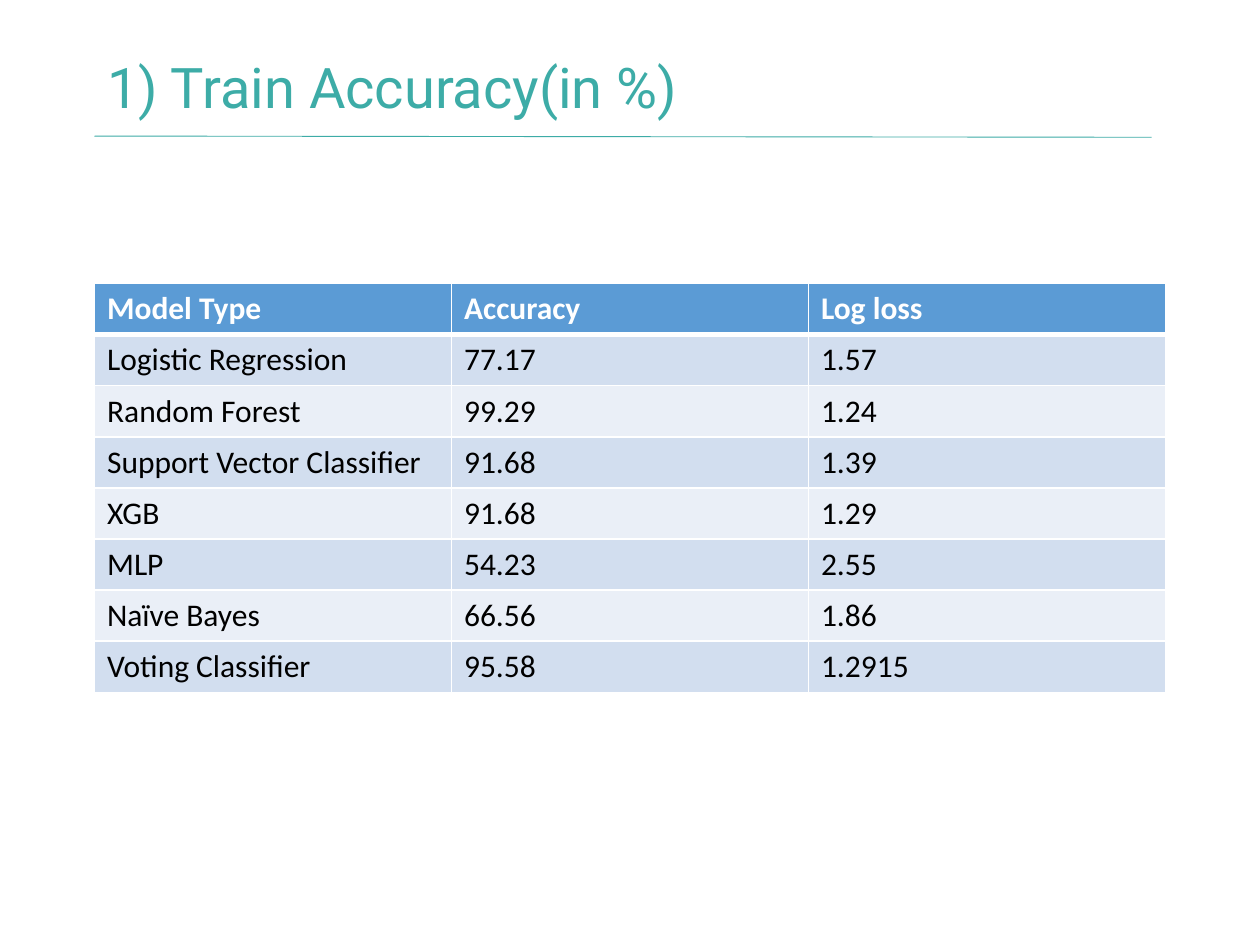
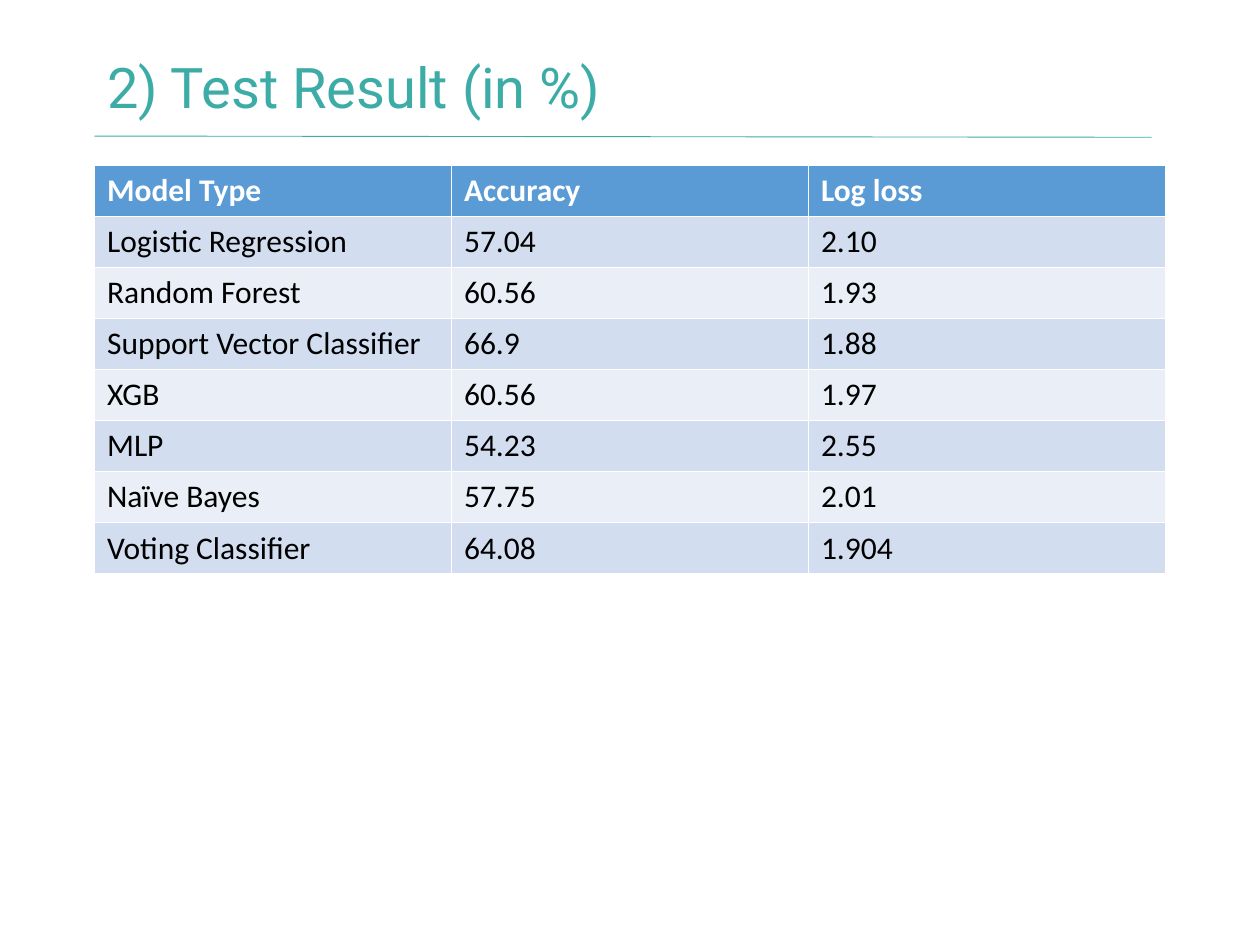
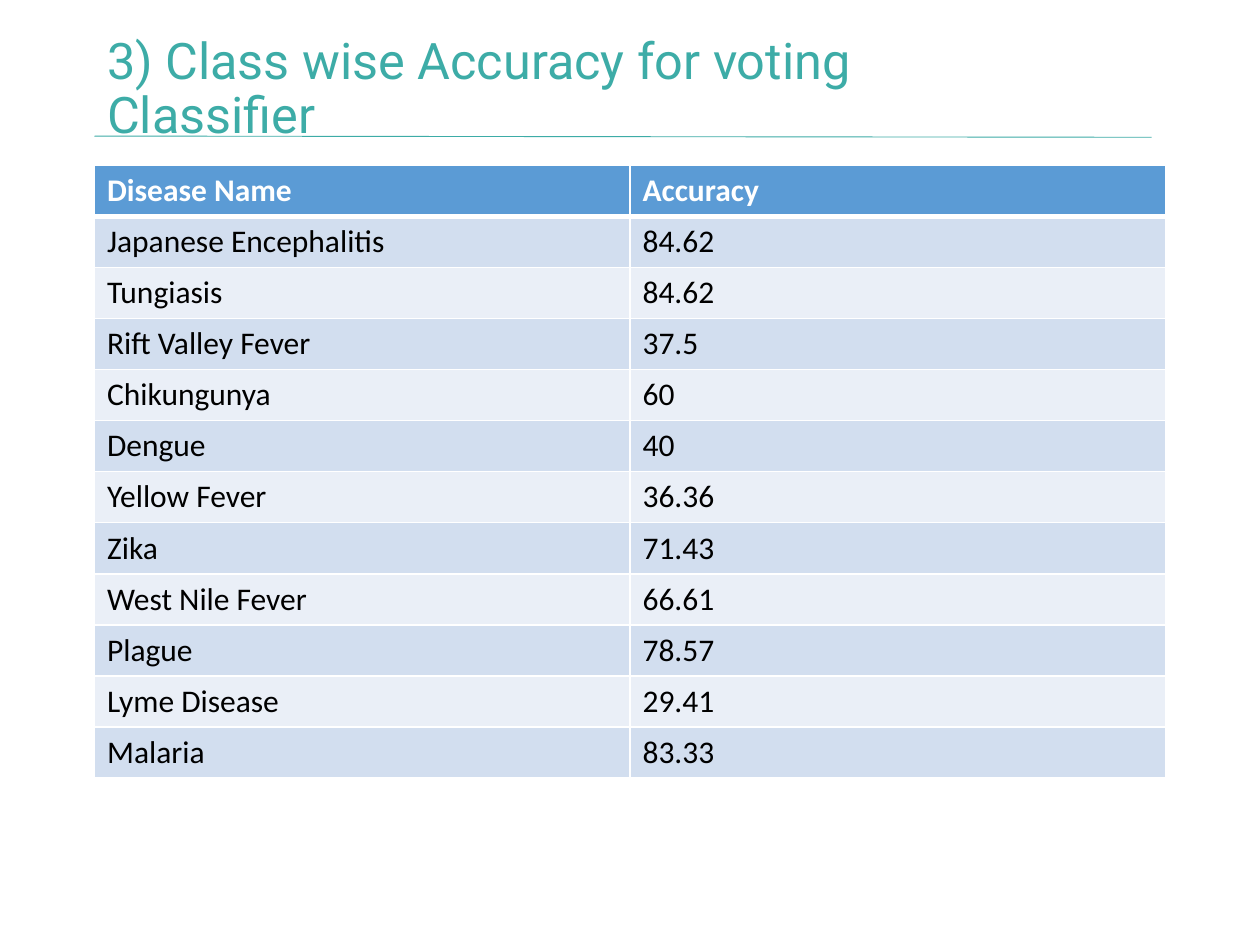
from lxml.etree import SubElement
from pptx import Presentation
from pptx.dml.color import RGBColor
from pptx.enum.shapes import MSO_CONNECTOR
from pptx.enum.text import MSO_ANCHOR, MSO_AUTO_SIZE, PP_ALIGN
from pptx.oxml.ns import qn
from pptx.util import Inches, Pt

WIDTH, HEIGHT = Inches(10), Inches(7.5)
TEAL, BLUE, PALE_BLUE, PALEST_BLUE = "3DACA7", "5B9BD5", "D2DEEF", "EAEFF7"
WHITE, BLACK = "FFFFFF", "000000"
TITLE_FONT, BODY_FONT = "Roboto", "Calibri"
LEFT_MARGIN = 7.5
TABLE_WIDTH = 85
ROW_HEIGHT = Pt(29.2)

MODEL_HEADER = ("Model Type", "Accuracy", "Log loss")
MODELS = (
    "Logistic Regression", "Random Forest", "Support Vector Classifier",
    "XGB", "MLP", "Naïve Bayes", "Voting Classifier",
)
TRAIN_ACCURACY = ("77.17", "99.29", "91.68", "91.68", "54.23", "66.56", "95.58")
TRAIN_LOSS = ("1.57", "1.24", "1.39", "1.29", "2.55", "1.86", "1.2915")
TEST_ACCURACY = ("57.04", "60.56", "66.9", "60.56", "54.23", "57.75", "64.08")
TEST_LOSS = ("2.10", "1.93", "1.88", "1.97", "2.55", "2.01", "1.904")
DISEASE_ROWS = (
    ("Disease Name", "Accuracy"),
    ("Japanese Encephalitis", "84.62"),
    ("Tungiasis", "84.62"),
    ("Rift Valley Fever", "37.5"),
    ("Chikungunya", "60"),
    ("Dengue", "40"),
    ("Yellow Fever", "36.36"),
    ("Zika", "71.43"),
    ("West Nile Fever", "66.61"),
    ("Plague", "78.57"),
    ("Lyme Disease", "29.41"),
    ("Malaria", "83.33"),
)


def across(percent):
    """Return a percentage of the slide width."""
    return round(WIDTH * percent / 100)


def down(percent):
    """Return a percentage of the slide height."""
    return round(HEIGHT * percent / 100)


def color(hex_string):
    """Turn a hex string into a colour."""
    return RGBColor.from_string(hex_string)


def format_text(paragraph, font_name, size, hex_string, bold=False):
    """Format every run of a paragraph."""
    for run in paragraph.runs:
        run.font.name = font_name
        run.font.size = Pt(size)
        run.font.bold = bold
        run.font.color.rgb = color(hex_string)


def add_title(slide, text, size):
    """Place and format the slide title."""
    title = slide.shapes.title
    title.left, title.top = across(LEFT_MARGIN), down(4.67)
    title.width, title.height = across(74.9), down(9.73)
    frame = title.text_frame
    frame.text = text
    frame.word_wrap = True
    frame.auto_size = MSO_AUTO_SIZE.NONE
    frame.vertical_anchor = MSO_ANCHOR.MIDDLE
    paragraph = frame.paragraphs[0]
    paragraph.alignment = PP_ALIGN.LEFT
    paragraph.line_spacing = 0.9
    format_text(paragraph, TITLE_FONT, size, TEAL)


def add_title_rule(slide):
    """Draw the thin line under the title."""
    rule = slide.shapes.add_connector(
        MSO_CONNECTOR.STRAIGHT,
        across(LEFT_MARGIN), down(14.4), across(91.4), down(14.53),
    )
    rule.line.color.rgb = color(TEAL)
    rule.line.width = Pt(0.5)
    SubElement(rule.element.spPr, qn("a:effectLst"))


def set_borders(cell, side, top, bottom):
    """Give a cell white borders with the widths stated in points."""
    properties = cell._tc.get_or_add_tcPr()
    for tag, width in (("lnL", side), ("lnR", side), ("lnT", top), ("lnB", bottom)):
        line = SubElement(properties, qn(f"a:{tag}"), w=str(Pt(width)))
        fill = SubElement(line, qn("a:solidFill"))
        SubElement(fill, qn("a:srgbClr"), val=WHITE)


def add_banded_table(slide, rows, top, border, header_border):
    """Add a table with a blue header and alternating pale rows."""
    column_count = len(rows[0])
    table = slide.shapes.add_table(
        len(rows), column_count, across(LEFT_MARGIN), down(top),
        across(TABLE_WIDTH), ROW_HEIGHT * len(rows),
    ).table
    for row_index, row in enumerate(rows):
        is_header = row_index == 0
        band = BLUE if is_header else (PALEST_BLUE, PALE_BLUE)[row_index % 2]
        for column_index, text in enumerate(row):
            cell = table.cell(row_index, column_index)
            set_borders(
                cell, border,
                top=header_border if row_index == 1 else border,
                bottom=header_border if is_header else border,
            )
            cell.fill.solid()
            cell.fill.fore_color.rgb = color(band)
            cell.text_frame.text = text
            format_text(
                cell.text_frame.paragraphs[0], BODY_FONT, 18,
                WHITE if is_header else BLACK, bold=is_header,
            )


def add_result_slide(presentation, title, rows, title_size=32, top=17.47,
                     border=1, header_border=3):
    """Add a slide with a title, its rule and a table of results."""
    slide = presentation.slides.add_slide(presentation.slide_layouts[5])
    add_title_rule(slide)
    add_title(slide, title, title_size)
    add_banded_table(slide, rows, top, border, header_border)


def main():
    """Build the three result slides."""
    presentation = Presentation()
    presentation.slide_width, presentation.slide_height = WIDTH, HEIGHT
    train_rows = [MODEL_HEADER, *zip(MODELS, TRAIN_ACCURACY, TRAIN_LOSS)]
    test_rows = [MODEL_HEADER, *zip(MODELS, TEST_ACCURACY, TEST_LOSS)]
    add_result_slide(presentation, "1) Train Accuracy(in %)", train_rows, top=30)
    add_result_slide(presentation, "2) Test Result (in %)", test_rows,
                     border=0.75, header_border=0.75)
    add_result_slide(presentation, "3) Class wise Accuracy for voting Classifier",
                     DISEASE_ROWS, title_size=28.8)
    presentation.save("out.pptx")


if __name__ == "__main__":
    main()
